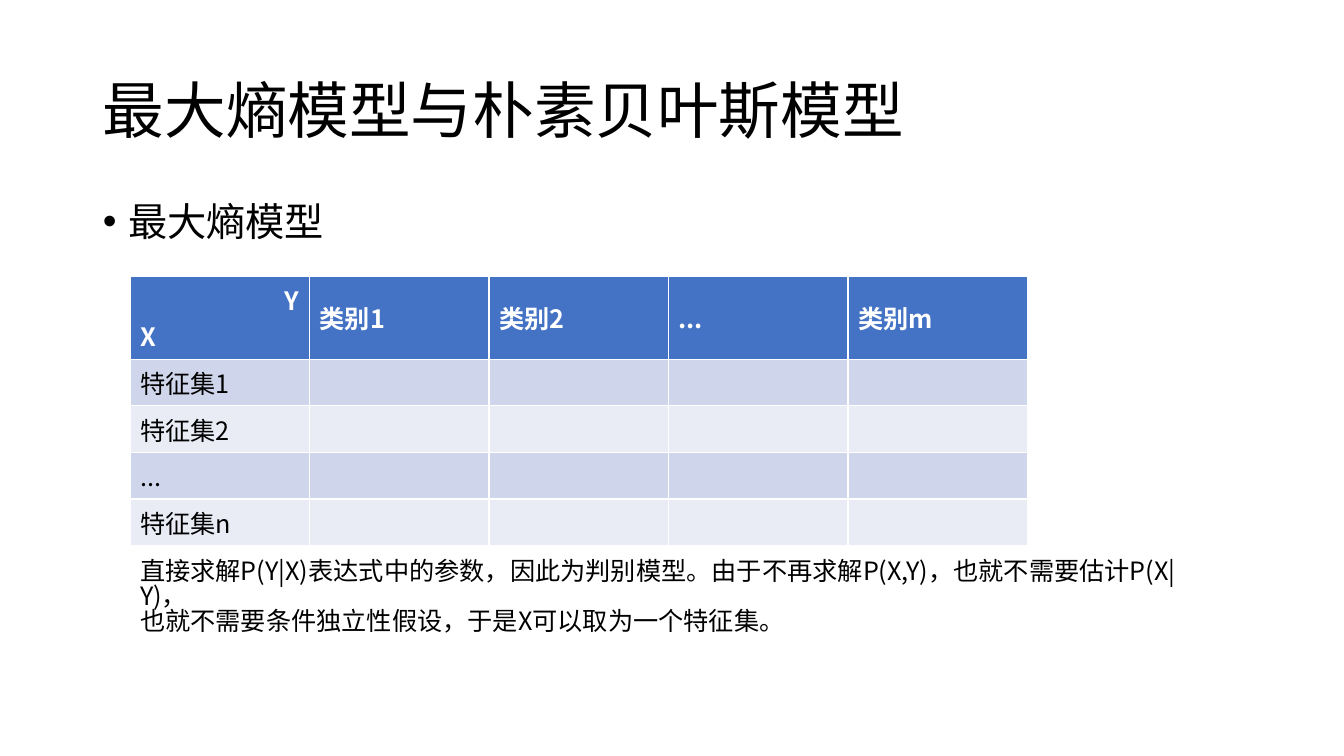
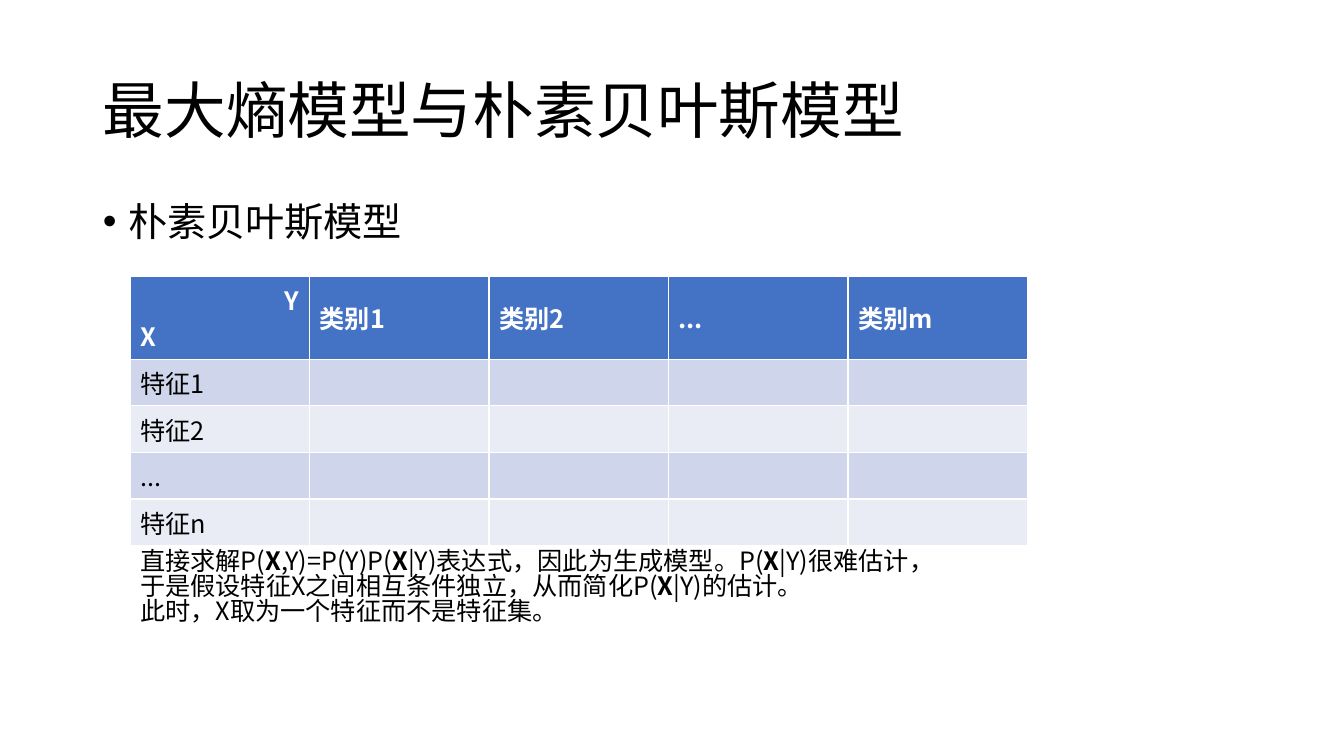
"""Build two slides comparing the maximum entropy and naive Bayes models."""
from lxml import etree
from pptx import Presentation
from pptx.dml.color import RGBColor
from pptx.enum.text import MSO_ANCHOR, MSO_AUTO_SIZE, PP_ALIGN
from pptx.oxml.ns import qn
from pptx.util import Inches, Pt

LEFT, RIGHT = PP_ALIGN.LEFT, PP_ALIGN.RIGHT
MIDDLE = MSO_ANCHOR.MIDDLE
NO_FIT = MSO_AUTO_SIZE.NONE
FONT = "Noto Sans CJK SC"
BLACK, WHITE = "000000", "FFFFFF"
HEADER, BANDS = "4472C4", ["CFD5EA", "E9EBF5"]
TITLE = "最大熵模型与朴素贝叶斯模型"
CLASSES = ["类别1", "类别2", "...", "类别m"]
COLUMN_WIDTH, HEADER_HEIGHT, ROW_HEIGHT = 1.78, 0.82, 0.46

SLIDES = [
    {
        "model": "最大熵模型",
        "feature": "特征集",
        "note_at": (1.29, 5.51, 10.92, 0.71),
        "note": [
            "直接求解P(Y|X)表达式中的参数，因此为判别模型。由于不再求解P(X,Y)，也就不需要估计P(X|Y)，",
            "也就不需要条件独立性假设，于是X可以取为一个特征集。",
        ],
    },
    {
        "model": "朴素贝叶斯模型",
        "feature": "特征",
        "note_at": (1.29, 5.41, 8.01, 1.01),
        "note": [
            "直接求解P(*X*,Y)=P(Y)P(*X*|Y)表达式，因此为生成模型。P(*X*|Y)很难估计，",
            "于是假设特征X之间相互条件独立，从而简化P(*X*|Y)的估计。",
            "此时，X取为一个特征而不是特征集。",
        ],
    },
]


def color(value):
    """Turn a hex string into a colour."""
    return RGBColor.from_string(value)


def write(frame, lines, size=18, ink=BLACK, bold=False, spacing=None):
    """Fill a text frame; parts between asterisks are bold."""
    for number, line in enumerate(lines):
        para = frame.add_paragraph() if number else frame.paragraphs[0]
        para.alignment = LEFT
        para.line_spacing = spacing
        for index, part in enumerate(line.split("*")):
            span = para.add_run()
            span.text = part
            span.font.name = FONT
            span.font.size = Pt(size)
            span.font.bold = bold or index % 2 == 1
            span.font.color.rgb = color(ink)
            properties = span.font._element
            properties.set("lang", "zh-CN")
            etree.SubElement(properties, qn("a:ea"), typeface=FONT)


deck = Presentation()
deck.slide_width, deck.slide_height = Inches(13.33), Inches(7.5)
layout = deck.slide_layouts[1]
for holder, top, height in zip(layout.placeholders, (0.4, 2), (1.45, 4.76)):
    holder.left, holder.top = Inches(0.92), Inches(top)
    holder.width, holder.height = Inches(11.5), Inches(height)

for content in SLIDES:
    page = deck.slides.add_slide(layout)
    title, body = page.placeholders
    for holder in (title, body):
        holder.text_frame.auto_size = NO_FIT
    title.text_frame.vertical_anchor = MIDDLE
    write(title.text_frame, [TITLE], size=44, spacing=0.9)
    write(body.text_frame, [content["model"]], size=28, spacing=0.8)
    bullet = body.text_frame.paragraphs[0]
    bullet.space_before = Pt(10)
    indent = Inches(0.25)
    bullet._p.get_or_add_pPr().set("marL", str(indent))
    bullet._p.get_or_add_pPr().set("indent", str(-indent))

    features = [content["feature"] + "1", content["feature"] + "2", "...",
                content["feature"] + "n"]
    columns, rows = len(CLASSES) + 1, len(features) + 1
    table = page.shapes.add_table(
        rows, columns, Inches(1.29), Inches(2.74),
        Inches(columns * COLUMN_WIDTH),
        Inches(HEADER_HEIGHT + len(features) * ROW_HEIGHT)).table
    for column in table.columns:
        column.width = Inches(COLUMN_WIDTH)
    for number, row in enumerate(table.rows):
        row.height = Inches(ROW_HEIGHT if number else HEADER_HEIGHT)
        for cell in row.cells:
            cell.fill.solid()
            cell.fill.fore_color.rgb = color(
                BANDS[(number - 1) % 2] if number else HEADER)

    corner = table.cell(0, 0).text_frame
    write(corner, ["Y", "X"], ink=WHITE, bold=True)
    corner.paragraphs[0].alignment = RIGHT
    for number, label in enumerate(CLASSES, 1):
        cell = table.cell(0, number)
        cell.vertical_anchor = MIDDLE
        write(cell.text_frame, [label], ink=WHITE, bold=True)
    for number, label in enumerate(features, 1):
        write(table.cell(number, 0).text_frame, [label])

    box = page.shapes.add_textbox(*map(Inches, content["note_at"]))
    box.text_frame.word_wrap = True
    write(box.text_frame, content["note"], spacing=0.83)

deck.save("out.pptx")
